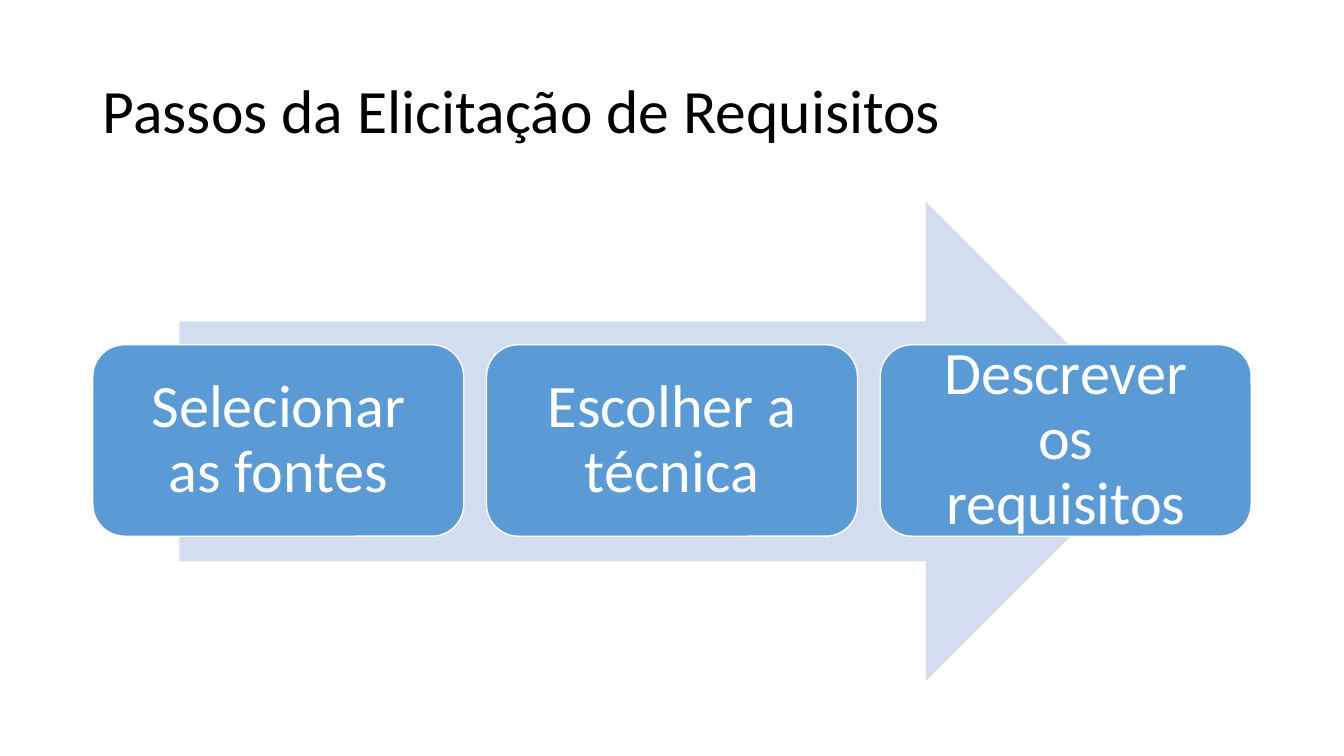
from dataclasses import dataclass

from pptx import Presentation
from pptx.dml.color import RGBColor
from pptx.enum.shapes import MSO_SHAPE as Preset
from pptx.enum.text import MSO_ANCHOR as Anchor, PP_ALIGN as Align
from pptx.shapes.autoshape import Shape
from pptx.slide import Slide
from pptx.text.text import TextFrame
from pptx.util import Inches, Pt

COLORS = {"title": "000000", "arrow": "D2DEEF", "step": "5B9BD5", "white": "FFFFFF"}
FONT = "Calibri"

STEP_LEFT, STEP_TOP = 0.92, 3.42
STEP_WIDTH, STEP_HEIGHT = 3.68, 1.9
STEP_PITCH = 3.905
STEP_INSET = 0.27


@dataclass
class Step:
    position: int
    label: str


STEPS = [
    Step(position, label)
    for position, label in enumerate(
        ["Selecionar as fontes", "Escolher a técnica", "Descrever os requisitos"]
    )
]


def write(frame: TextFrame, text: str, size: float, color: str, align: Align) -> None:
    frame.text = text
    frame.word_wrap = True
    frame.vertical_anchor = Anchor.MIDDLE
    paragraph = frame.paragraphs[0]
    paragraph.alignment = align
    paragraph.line_spacing = 0.9
    font = paragraph.runs[0].font
    font.name = FONT
    font.size = Pt(size)
    font.color.rgb = RGBColor.from_string(COLORS[color])


def add_block(slide: Slide, preset: Preset, left: float, top: float,
              width: float, height: float, fill: str) -> Shape:
    block = slide.shapes.add_shape(
        preset, Inches(left), Inches(top), Inches(width), Inches(height)
    )
    block.shadow.inherit = False
    block.fill.solid()
    block.fill.fore_color.rgb = RGBColor.from_string(COLORS[fill])
    block.line.fill.background()
    return block


def add_step(slide: Slide, step: Step) -> None:
    left = STEP_LEFT + step.position * STEP_PITCH
    box = add_block(slide, Preset.ROUNDED_RECTANGLE, left, STEP_TOP,
                    STEP_WIDTH, STEP_HEIGHT, "step")
    box.line.color.rgb = RGBColor.from_string(COLORS["white"])
    box.line.width = Pt(1)
    frame = box.text_frame
    frame.margin_left = frame.margin_right = Inches(STEP_INSET)
    frame.margin_top = frame.margin_bottom = Inches(STEP_INSET)
    write(frame, step.label, 43, "white", Align.CENTER)


def main() -> None:
    deck = Presentation()
    deck.slide_width, deck.slide_height = Inches(13.33), Inches(7.5)
    slide = deck.slides.add_slide(deck.slide_layouts.get_by_name("Title Only"))

    # Title
    title = slide.shapes.title
    title.left, title.top = Inches(0.92), Inches(0.4)
    title.width, title.height = Inches(11.5), Inches(1.45)
    write(title.text_frame, "Passos da Elicitação de Requisitos", 44, "title", Align.LEFT)

    # Arrow behind the steps
    add_block(slide, Preset.RIGHT_ARROW, 1.78, 2, 9.78, 4.76, "arrow")

    # Steps
    for step in STEPS:
        add_step(slide, step)

    deck.save("out.pptx")


if __name__ == "__main__":
    main()
